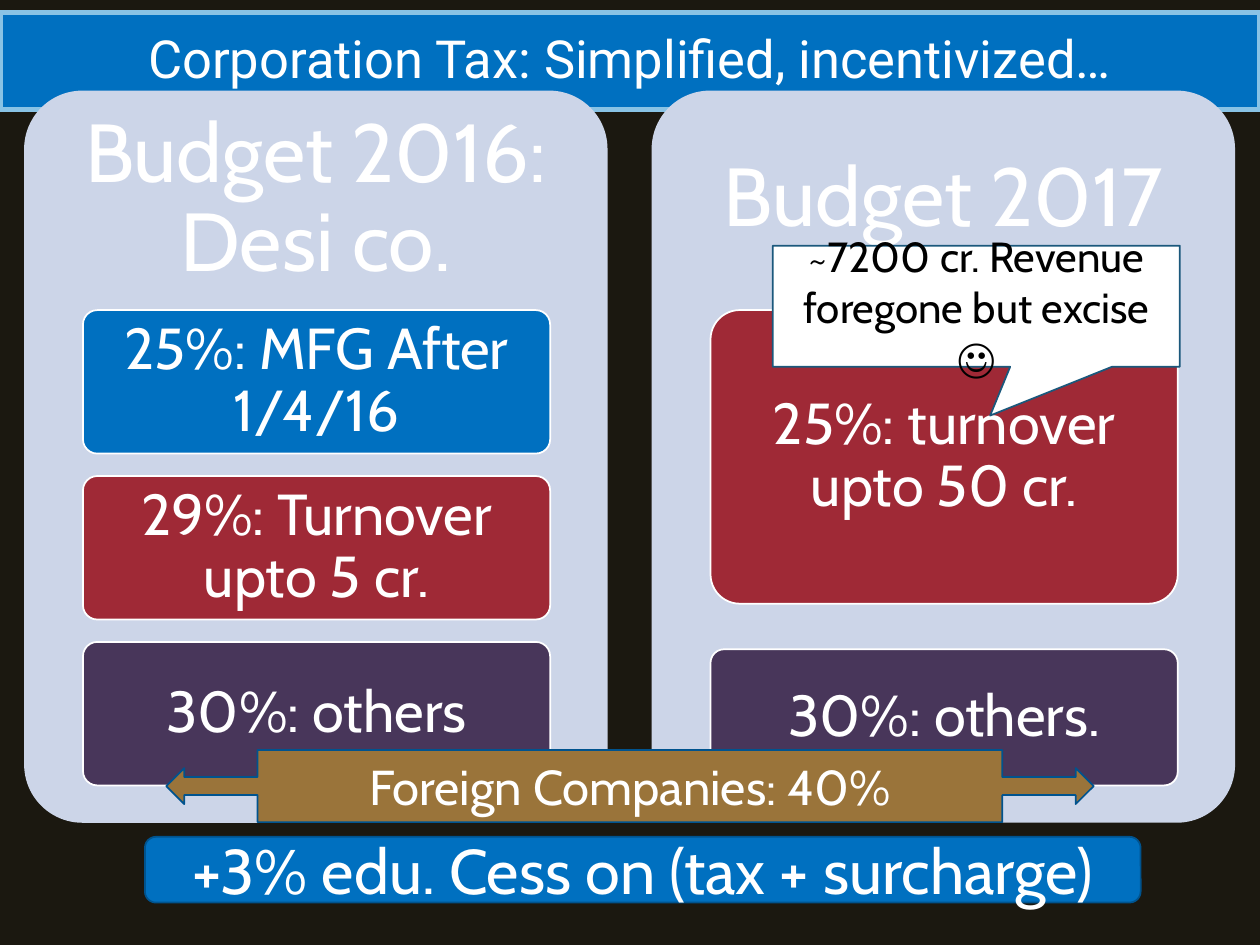
"""Build the corporation tax slide comparing Budget 2016 with Budget 2017."""
from pptx import Presentation
from pptx import util as u
from pptx.dml.color import RGBColor
from pptx.enum import shapes, text

Pt = u.Pt
KIND = shapes.MSO_SHAPE
HUES = {
    "back": "1B1810", "panel": "CCD5E8", "white": "FFFFFF", "black": "000000",
    "blue": "0070C0", "red": "9F2936", "plum": "48365A", "gold": "9A743A",
    "sky": "89C3E5", "navy": "00538E", "teal": "1B587C",
}
TOP, HIGH = 177.2, 271.6


def hue(name):
    return RGBColor.from_string(HUES[name])


def write(box, words, size, color="white", face="Cabin", pad=(7.2, 3.6), space=None):
    frame = box.text_frame
    frame.word_wrap = True
    frame.vertical_anchor = text.MSO_ANCHOR.MIDDLE
    frame.margin_left = frame.margin_right = Pt(pad[0])
    frame.margin_top = frame.margin_bottom = Pt(pad[1])
    para = frame.paragraphs[0]
    para.text = words
    para.alignment = text.PP_ALIGN.CENTER
    para.line_spacing = space
    para.font.size = Pt(size)
    para.font.name = face
    para.font.color.rgb = hue(color)


def block(slide, kind, place, fill, line=None, width=1, adjust=()):
    shape = slide.shapes.add_shape(kind, *map(Pt, place))
    shape.shadow.inherit = False
    shape.fill.solid()
    shape.fill.fore_color.rgb = hue(fill)
    if line:
        shape.line.color.rgb = hue(line)
        shape.line.width = Pt(width)
    else:
        shape.line.fill.background()
    for i, value in enumerate(adjust):
        shape.adjustments[i] = value
    return shape


def panel(slide, left, head, cards):
    block(slide, KIND.ROUNDED_RECTANGLE, (left, 51.8, 333.4, 418.4), "panel", adjust=[0.1])
    box = slide.shapes.add_textbox(*map(Pt, (left, 51.8, 333.4, 125.4)))
    write(box, head, 47, pad=(14.4, 14.4), space=0.9)
    gap = (HIGH - sum(card[2] for card in cards)) / (len(cards) - 1)
    top = TOP
    for words, fill, high in cards:
        card = block(slide, KIND.ROUNDED_RECTANGLE, (left + 33.6, top, 267, high),
                     fill, "white", adjust=[0.1])
        write(card, words, 33, pad=(6.6, 5), space=0.9)
        top += high + gap


def main():
    deck = Presentation()
    deck.slide_width, deck.slide_height = Pt(720), Pt(540)
    slide = deck.slides.add_slide(deck.slide_layouts[6])
    slide.background.fill.solid()
    slide.background.fill.fore_color.rgb = hue("back")

    title = block(slide, KIND.RECTANGLE, (0, 7.2, 720, 55.4), "blue", "sky", 3)
    write(title, "Corporation Tax: Simplified, incentivized…", 30, face="Roboto", space=0.9)

    panel(slide, 13.8, "Budget 2016: Desi co.", [
        ("25%: MFG After 1/4/16", "blue", 82),
        ("29%: Turnover upto 5 cr.", "red", 82),
        ("30%: others", "plum", 82),
    ])
    panel(slide, 372.4, "Budget 2017", [
        ("25%: turnover upto 50 cr.", "red", 167.8),
        ("30%: others.", "plum", 77.8),
    ])

    note = block(slide, KIND.RECTANGULAR_CALLOUT, (441.6, 140.4, 232.6, 69.2),
                 "white", "teal", adjust=[0.034, 0.903])
    write(note, "~7200 cr. Revenue foregone but excise ☺", 24, "black")
    span = block(slide, KIND.LEFT_RIGHT_ARROW_CALLOUT, (95, 428.6, 530, 41.2),
                 "gold", "navy", adjust=[0.25, 0.25, 0.25, 0.803])
    write(span, "Foreign Companies: 40%", 28)
    cess = block(slide, KIND.ROUNDED_RECTANGLE, (82.8, 478.2, 569, 37.6), "blue", "navy")
    write(cess, "+3% edu. Cess on (tax + surcharge)", 36)

    deck.save("out.pptx")


if __name__ == "__main__":
    main()
